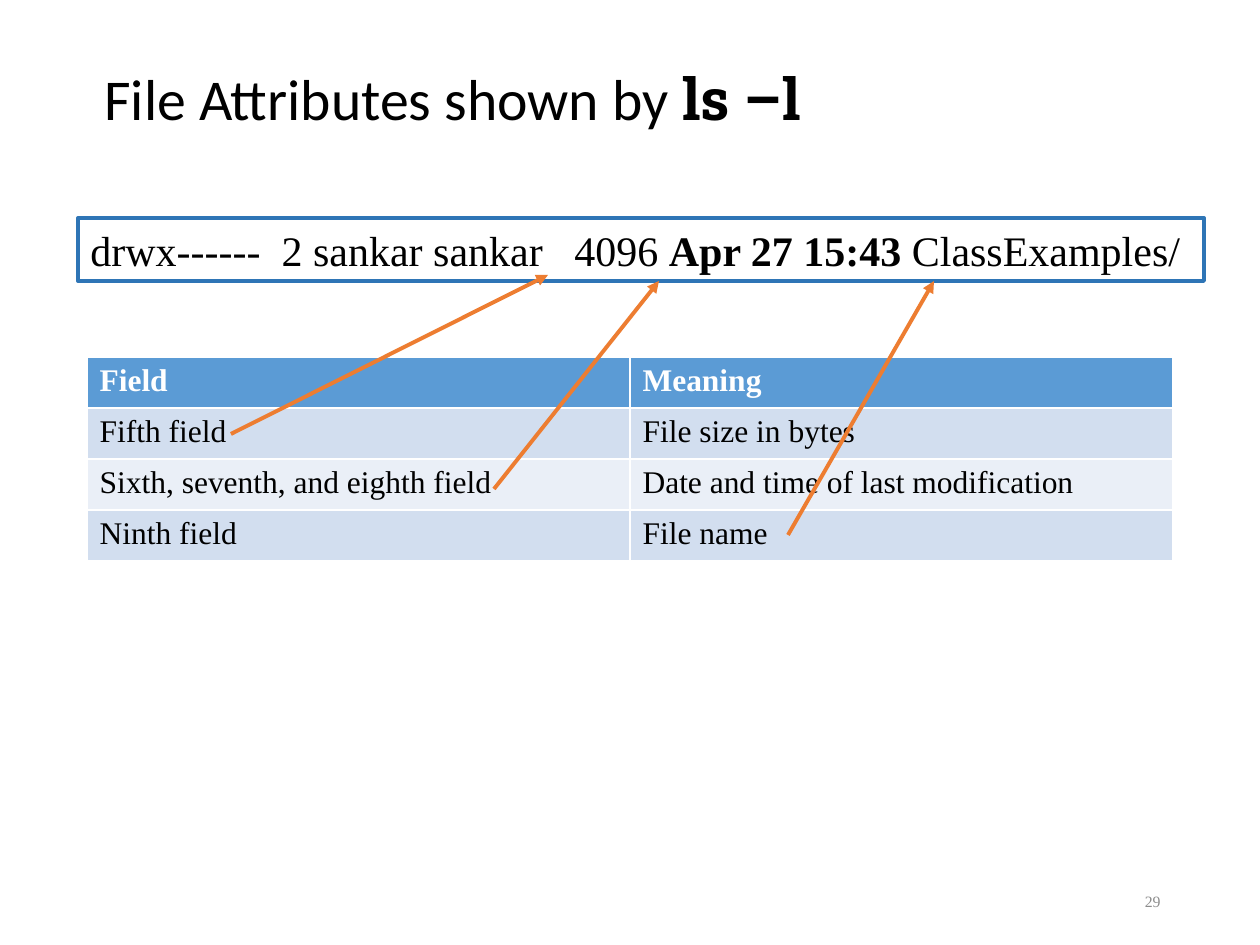
from lxml.etree import SubElement
from pptx import Presentation
from pptx.dml.color import RGBColor
from pptx.enum.shapes import MSO_CONNECTOR, MSO_SHAPE
from pptx.enum.text import MSO_ANCHOR, PP_ALIGN
from pptx.oxml.ns import qn
from pptx.util import Emu, Pt

PX_PER_INCH = 126
SERIF = "Times New Roman"
BLACK, WHITE = "000000", "FFFFFF"
ORANGE, BLUE = "ED7D31", "2E75B6"
HEADER_FILL, BAND_FILLS = "5B9BD5", ("D2DEEF", "EAEFF7")


def px(length):
    return Emu(round(length * 914400 / PX_PER_INCH))


def color(hex_value):
    return RGBColor.from_string(hex_value)


def style_font(font, size, name=SERIF, fill=BLACK, bold=False):
    font.size = Pt(size)
    font.name = name
    font.bold = bold
    font.color.rgb = color(fill)


def add_span(para, text, size, **style):
    span = para.add_run()
    span.text = text
    style_font(span.font, size, **style)


def add_text_box(page, left, top, width, height):
    frame = page.shapes.add_textbox(px(left), px(top), px(width), px(height)).text_frame
    frame.word_wrap = True
    frame.vertical_anchor = MSO_ANCHOR.MIDDLE
    return frame.paragraphs[0]


def add_listing_box(page, left, top, width, height, spans):
    box = page.shapes.add_shape(MSO_SHAPE.RECTANGLE, px(left), px(top), px(width), px(height))
    box.shadow.inherit = False
    box.fill.background()
    box.line.color.rgb = color(BLUE)
    box.line.width = Pt(2.25)
    frame = box.text_frame
    frame.word_wrap = False
    frame.vertical_anchor = MSO_ANCHOR.TOP
    para = frame.paragraphs[0]
    para.alignment = PP_ALIGN.LEFT
    for text, bold in spans:
        add_span(para, text, 24, bold=bold)


def add_field_table(page, left, top, width, height, rows):
    table = page.shapes.add_table(
        len(rows), len(rows[0]), px(left), px(top), px(width), px(height)
    ).table
    for row_index, row in enumerate(rows):
        header = row_index == 0
        fill = HEADER_FILL if header else BAND_FILLS[(row_index - 1) % 2]
        for column_index, text in enumerate(row):
            cell = table.cell(row_index, column_index)
            cell.fill.solid()
            cell.fill.fore_color.rgb = color(fill)
            para = cell.text_frame.paragraphs[0]
            add_span(para, text, 18, fill=WHITE if header else BLACK, bold=header)


def add_arrow(page, start, end):
    arrow = page.shapes.add_connector(
        MSO_CONNECTOR.STRAIGHT, *(px(value) for value in start + end)
    )
    arrow.line.color.rgb = color(ORANGE)
    arrow.line.width = Pt(2.25)
    SubElement(arrow.line._get_or_add_ln(), qn("a:tailEnd"), type="triangle")
    SubElement(arrow._element.spPr, qn("a:effectLst"))


def main():
    deck = Presentation()
    deck.slide_width, deck.slide_height = px(1260), px(945)
    page = deck.slides.add_slide(deck.slide_layouts[6])

    # Title
    title = add_text_box(page, 92, 4, 1086, 195)
    title.line_spacing = 0.9
    add_span(title, "File Attributes shown by ", 33, name="Calibri")
    add_span(title, "ls –l", 33, name="Roboto Slab", bold=True)

    # Page number
    number = add_text_box(page, 890, 876, 283, 50)
    number.alignment = PP_ALIGN.RIGHT
    add_span(number, "29", 9, fill="8C8C8C")

    # Meaning of each field
    add_field_table(page, 87, 357, 1086, 204, [
        ("Field", "Meaning"),
        ("Fifth field", "File size in bytes"),
        ("Sixth, seventh, and eighth field", "Date and time of last modification"),
        ("Ninth field", "File name"),
    ])

    # Sample line of the listing
    add_listing_box(page, 78, 218, 1126, 63, [
        ("drwx------  2 sankar sankar   4096 ", False),
        ("Apr 27 15:43 ", True),
        ("ClassExamples/", False),
    ])

    # Arrows from the table to the listing
    for start, end in [
        ((231, 434), (548, 275)),
        ((494, 489), (659, 281)),
        ((788, 535), (934, 281)),
    ]:
        add_arrow(page, start, end)

    deck.save("out.pptx")


if __name__ == "__main__":
    main()
